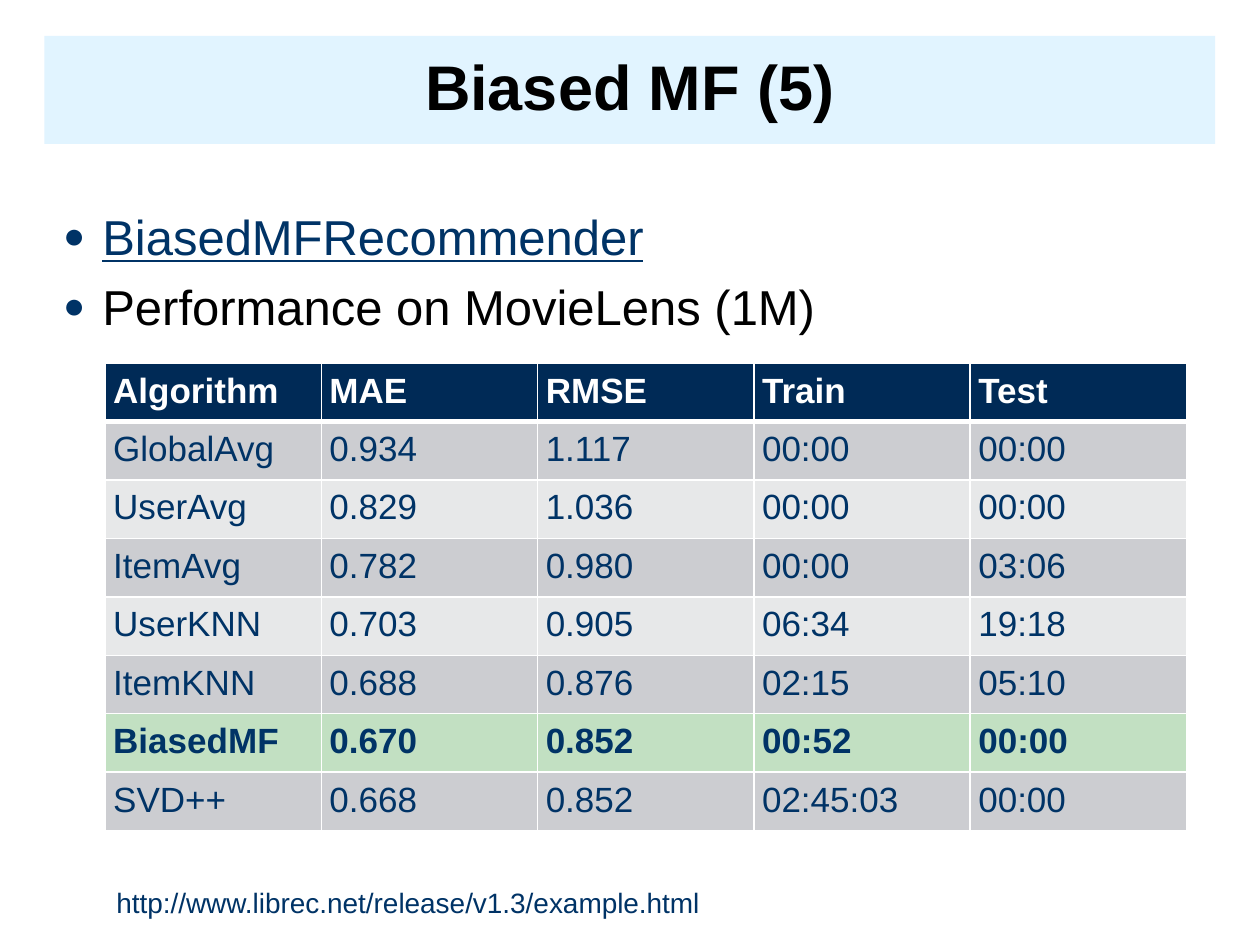
from dataclasses import dataclass

from lxml.etree import SubElement
from pptx import Presentation
from pptx.dml.color import RGBColor
from pptx.enum.text import MSO_ANCHOR, PP_ALIGN
from pptx.oxml import parse_xml
from pptx.oxml.ns import nsdecls, qn
from pptx.util import Pt

NAVY = "003366"
BLACK = "000000"
WHITE = "FFFFFF"


@dataclass
class Row:
    cells: list[str]
    fill: str
    ink: str = NAVY
    bold: bool = False


DARK, LIGHT, GREEN = "CCCDD1", "E7E8E9", "C2E0C2"
ROWS = [
    Row(["Algorithm", "MAE", "RMSE", "Train", "Test"], "002A56", WHITE, True),
    Row(["GlobalAvg", "0.934", "1.117", "00:00", "00:00"], DARK),
    Row(["UserAvg", "0.829", "1.036", "00:00", "00:00"], LIGHT),
    Row(["ItemAvg", "0.782", "0.980", "00:00", "03:06"], DARK),
    Row(["UserKNN", "0.703", "0.905", "06:34", "19:18"], LIGHT),
    Row(["ItemKNN", "0.688", "0.876", "02:15", "05:10"], DARK),
    Row(["BiasedMF", "0.670", "0.852", "00:52", "00:00"], GREEN, bold=True),
    Row(["SVD++", "0.668", "0.852", "02:45:03", "00:00"], DARK),
]


def tint(item, code: str) -> None:
    """Colour a font, or a fill made solid beforehand."""
    item.rgb = RGBColor.from_string(code)


def paint(shape, code: str) -> None:
    shape.fill.solid()
    tint(shape.fill.fore_color, code)


def write(para, text: str, size: float, ink: str = NAVY, bold: bool = False,
          line: bool = False, align=PP_ALIGN.LEFT) -> None:
    para.alignment = align
    run = para.add_run()
    run.text = text
    font = run.font
    font.name, font.size = "Arial", Pt(size)
    font.bold, font.underline = bold, line
    tint(font.color, ink)


def bullet(para) -> None:
    props = para._p.get_or_add_pPr()
    props.set("marL", str(Pt(22.5)))
    props.set("indent", str(-Pt(22.5)))
    color = SubElement(props, qn("a:buClr"))
    SubElement(color, qn("a:srgbClr"), val=NAVY)
    SubElement(props, qn("a:buSzPct"), val="75000")
    SubElement(props, qn("a:buFont"), typeface="Arial")
    SubElement(props, qn("a:buChar"), char="●")


def border(cell, top: float, base: float) -> None:
    props = cell._tc.get_or_add_tcPr()
    sides = [("L", 1), ("R", 1), ("T", top), ("B", base)]
    for spot, (side, width) in enumerate(sides):
        props.insert(spot, parse_xml(
            f'<a:ln{side} {nsdecls("a")} w="{Pt(width)}"><a:solidFill>'
            f'<a:srgbClr val="{WHITE}"/></a:solidFill></a:ln{side}>'))


def grid(slide, rows: list[Row]) -> None:
    cols = len(rows[0].cells)
    table = slide.shapes.add_table(
        len(rows), cols, Pt(60), Pt(207.5), Pt(617.8), Pt(236)).table
    for col in table.columns:
        col.width = Pt(123.6)
    for r, row in enumerate(rows):
        table.rows[r].height = Pt(29.5)
        for c, text in enumerate(row.cells):
            cell = table.cell(r, c)
            cell.margin_left = cell.margin_right = Pt(4.7)
            cell.margin_top = cell.margin_bottom = Pt(4.7)
            paint(cell, row.fill)
            border(cell, 3 if r == 1 else 1, 3 if r == 0 else 1)
            write(cell.text_frame.paragraphs[0], text, 20, row.ink, row.bold)


def main() -> None:
    deck = Presentation()
    deck.slide_width, deck.slide_height = Pt(720), Pt(540)
    slide = deck.slides.add_slide(deck.slide_layouts[5])

    # Title band
    title = slide.shapes.title
    title.left, title.top = Pt(25.4), Pt(20.5)
    title.width, title.height = Pt(669), Pt(61.8)
    paint(title, "E1F4FF")
    title.text_frame.vertical_anchor = MSO_ANCHOR.MIDDLE
    head = title.text_frame.paragraphs[0]
    head.line_spacing = 0.9
    write(head, "Biased MF (5)", 36, BLACK, True, align=PP_ALIGN.CENTER)

    # Bullets
    body = slide.shapes.add_textbox(Pt(31), Pt(111.6), Pt(658), Pt(85)).text_frame
    body.word_wrap = True
    body.margin_left, body.margin_top = Pt(5), Pt(6.5)
    first, second = body.paragraphs[0], body.add_paragraph()
    second.space_before = Pt(6.5)
    for para in (first, second):
        bullet(para)
    write(first, "BiasedMFRecommender", 28, line=True)
    write(second, "Performance on MovieLens (1M)", 28, BLACK)

    # Results
    grid(slide, ROWS)

    # Source address
    foot = slide.shapes.add_textbox(Pt(60), Pt(502.6), Pt(352), Pt(26.6)).text_frame
    foot.word_wrap = False
    foot.margin_left = Pt(6.5)
    write(foot.paragraphs[0], "http://www.librec.net/release/v1.3/example.html", 16)

    deck.save("out.pptx")


if __name__ == "__main__":
    main()
